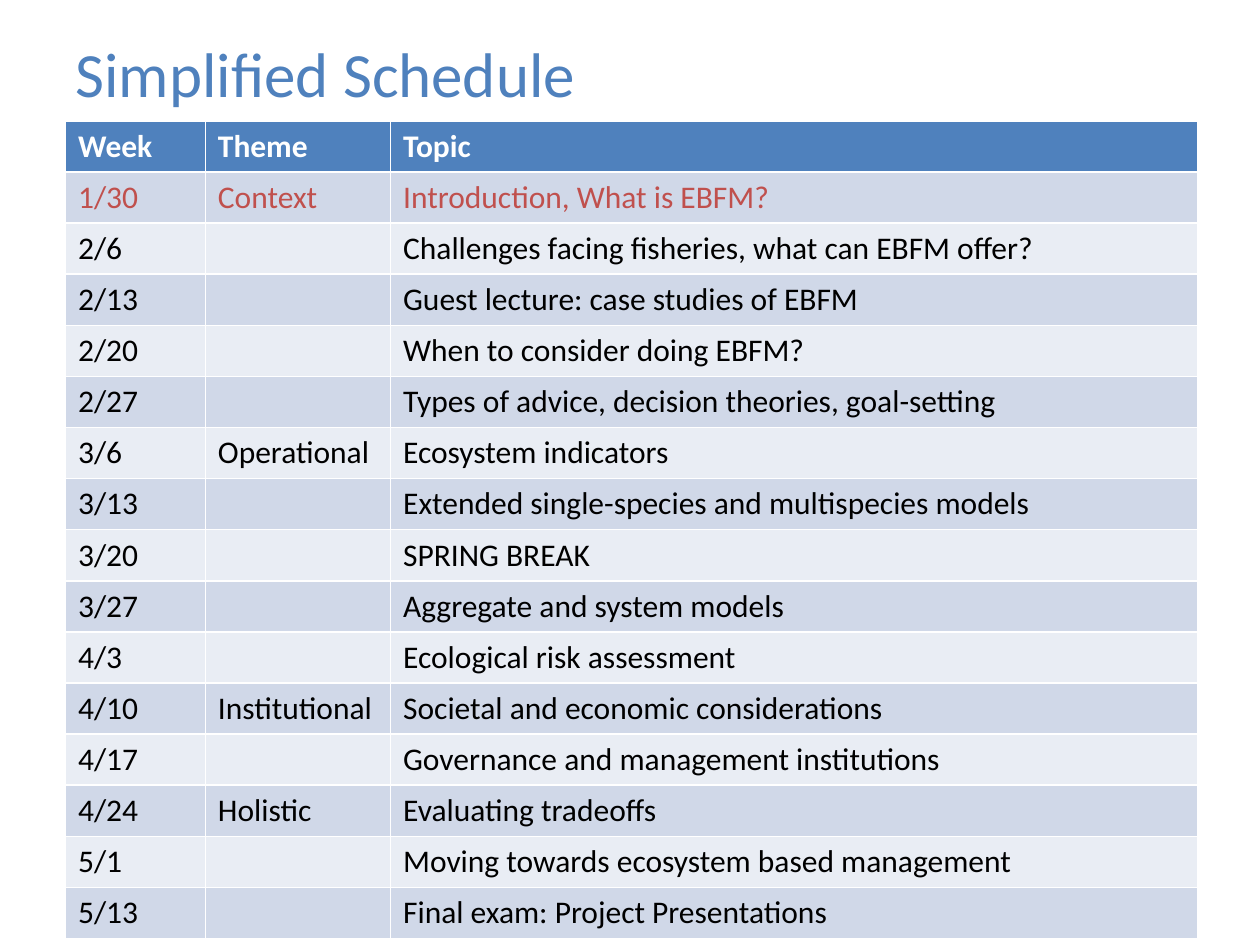
import pptx
import pptx.dml.color
import pptx.enum.text
import pptx.util

Inches = pptx.util.Inches
Pt = pptx.util.Pt
RGB = pptx.dml.color.RGBColor.from_string

COLORS = {
    "blue": "4F81BD",
    "red": "C0504D",
    "white": "FFFFFF",
    "black": "000000",
    "odd": "D0D8E8",
    "even": "E9EDF4",
}

SCHEDULE = [
    ("Week", "Theme", "Topic"),
    ("1/30", "Context", "Introduction, What is EBFM?"),
    ("2/6", "", "Challenges facing fisheries, what can EBFM offer?"),
    ("2/13", "", "Guest lecture: case studies of EBFM"),
    ("2/20", "", "When to consider doing EBFM?"),
    ("2/27", "", "Types of advice, decision theories, goal-setting"),
    ("3/6", "Operational", "Ecosystem indicators"),
    ("3/13", "", "Extended single-species and multispecies models"),
    ("3/20", "", "SPRING BREAK"),
    ("3/27", "", "Aggregate and system models"),
    ("4/3", "", "Ecological risk assessment"),
    ("4/10", "Institutional", "Societal and economic considerations"),
    ("4/17", "", "Governance and management institutions"),
    ("4/24", "Holistic", "Evaluating tradeoffs"),
    ("5/1", "", "Moving towards ecosystem based management"),
    ("5/13", "", "Final exam: Project Presentations"),
]
WIDTHS = [1.11, 1.47, 6.41]
TABLE_HEIGHT = 6.49


def format_text(p, color, **values):
    p.font.color.rgb = RGB(COLORS[color])
    for name, value in {"name": "Calibri", **values}.items():
        setattr(p.font, name, value)


prs = pptx.Presentation()
prs.slide_width, prs.slide_height = Inches(10), Inches(7.5)
s = prs.slides.add_slide(prs.slide_layouts[5])

title = s.shapes.title
box = {"left": 0.5, "top": 0.2, "width": 9, "height": 0.75}
for name, value in box.items():
    setattr(title, name, Inches(value))
tf = title.text_frame
tf.text = "Simplified Schedule"
tf.vertical_anchor = pptx.enum.text.MSO_ANCHOR.MIDDLE
p = tf.paragraphs[0]
p.alignment = pptx.enum.text.PP_ALIGN.LEFT
format_text(p, "blue", size=Pt(36))

table = s.shapes.add_table(
    len(SCHEDULE), len(WIDTHS),
    Inches(0.52), Inches(0.96), Inches(sum(WIDTHS)), Inches(TABLE_HEIGHT),
).table
for col, width in zip(table.columns, WIDTHS):
    col.width = Inches(width)

for i, row in enumerate(SCHEDULE):
    table.rows[i].height = Inches(TABLE_HEIGHT / len(SCHEDULE))
    fill = "blue" if i == 0 else "odd" if i % 2 else "even"
    color = {0: "white", 1: "red"}.get(i, "black")
    for j, text in enumerate(row):
        cell = table.cell(i, j)
        cell.fill.solid()
        cell.fill.fore_color.rgb = RGB(COLORS[fill])
        cell.text = text
        format_text(cell.text_frame.paragraphs[0], color, size=Pt(18), bold=i == 0)

prs.save("out.pptx")
